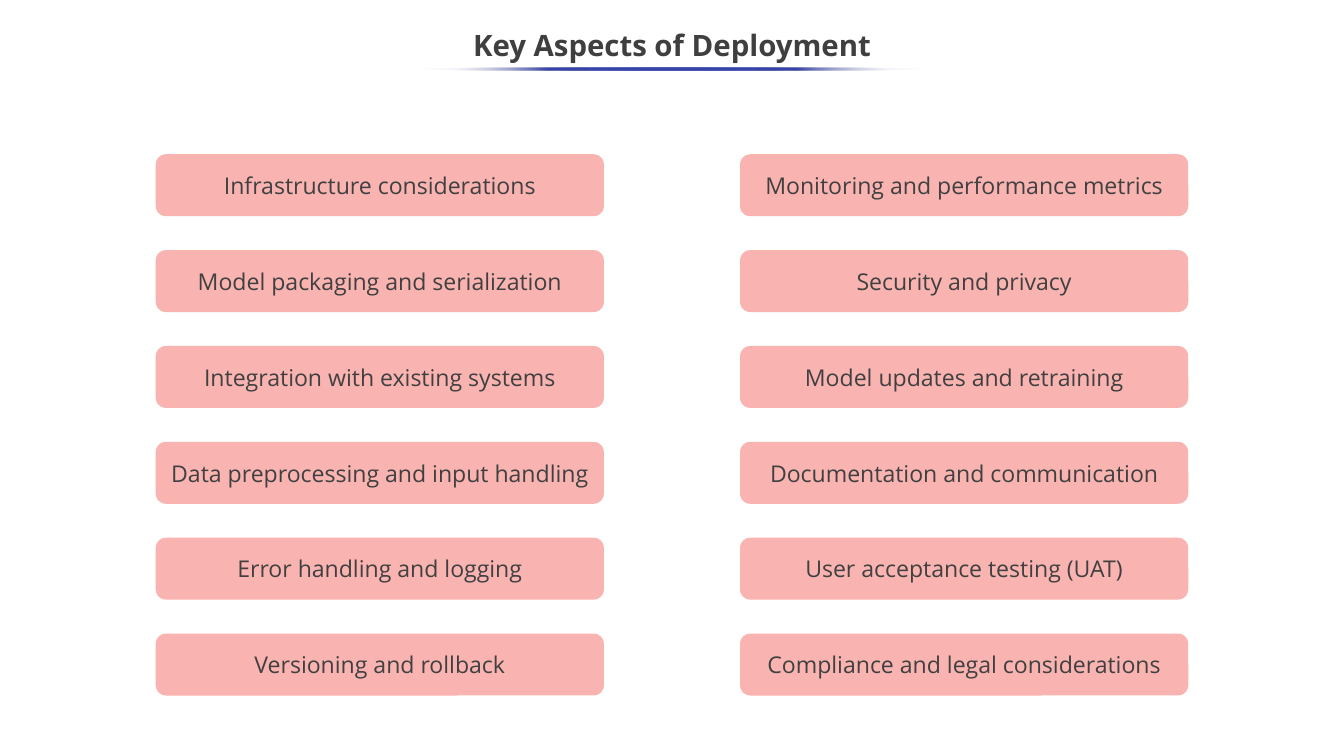
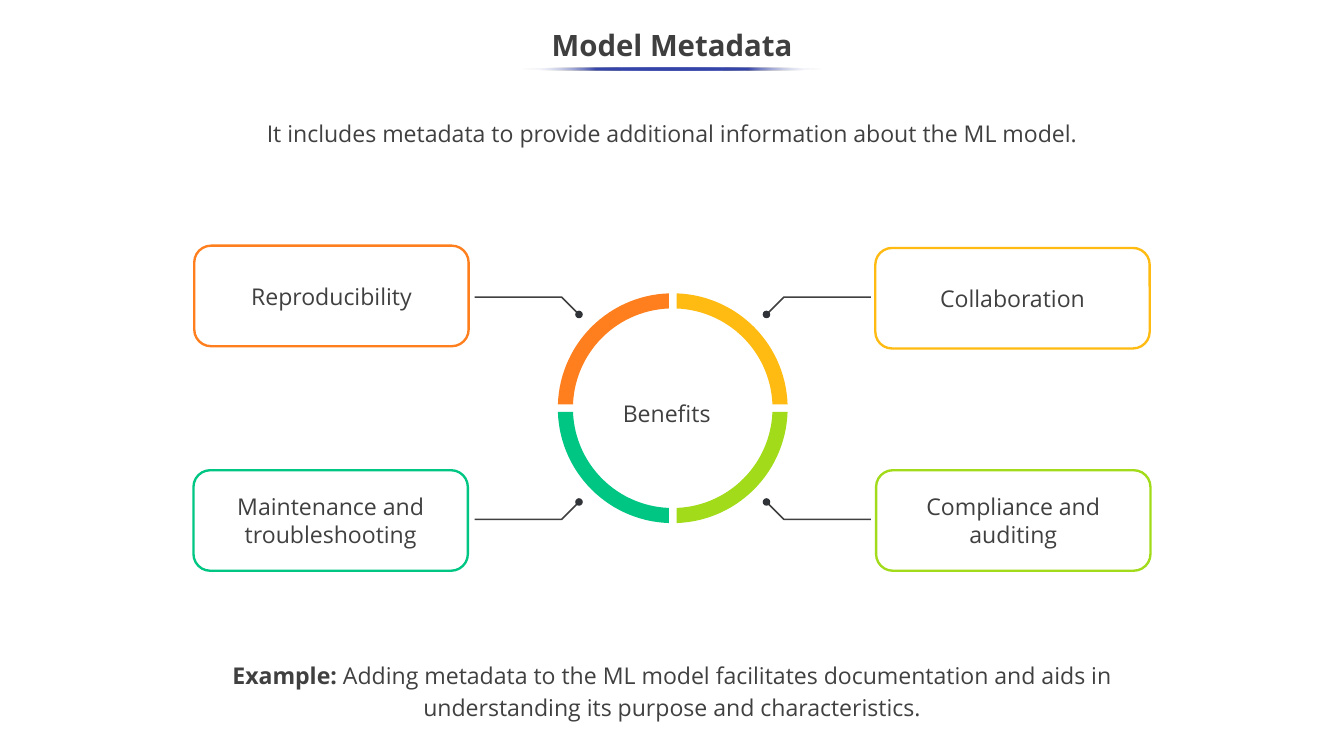
from math import asin, cos, pi, sin

from pptx import Presentation
from pptx.dml.color import RGBColor
from pptx.enum.shapes import MSO_SHAPE as SHAPE
from pptx.enum.text import MSO_ANCHOR as ANCHOR, PP_ALIGN as ALIGN
from pptx.oxml import parse_xml
from pptx.oxml.ns import nsdecls
from pptx.util import Inches, Pt

WIDTH, HEIGHT = 17.78, 10
FONT = "Open Sans"
TITLE_COLOR, TEXT, PINK, RULE = "3F3F3F", "404040", "F9B4B1", "3645A9"
ORANGE, YELLOW, TEAL, LIME, DOT = "FF7E1D", "FFBB12", "00C684", "A2DB19", "303338"

ASPECTS = [
    ["Infrastructure considerations", "Model packaging and serialization",
     "Integration with existing systems", "Data preprocessing and input handling",
     "Error handling and logging", "Versioning and rollback"],
    ["Monitoring and performance metrics", "Security and privacy",
     "Model updates and retraining", "Documentation and communication",
     "User acceptance testing (UAT)", "Compliance and legal considerations"],
]
BENEFITS = [
    ("Reproducibility", ORANGE, 2.57, 3.25, -1, -1),
    ("Collaboration", YELLOW, 11.58, 3.28, 1, -1),
    ("Maintenance and troubleshooting", TEAL, 2.56, 6.22, -1, 1),
    ("Compliance and auditing", LIME, 11.59, 6.22, 1, 1),
]
RING_X, RING_Y = 8.9, 5.4
RING_OUTER, RING_INNER, RING_HALF_GAP = 1.52, 1.32, 0.05
ARC_STEPS = 30


def rgb(color):
    return RGBColor.from_string(color)


def style_run(r, size=22, color=TEXT, bold=False):
    r.font.name = FONT
    r.font.size = Pt(size)
    r.font.bold = bold
    r.font.color.rgb = rgb(color)


def paint(sp, fill=None, line=None, width=1):
    sp.shadow.inherit = False
    if fill:
        sp.fill.solid()
        sp.fill.fore_color.rgb = rgb(fill)
    else:
        sp.fill.background()
    if line:
        sp.line.color.rgb = rgb(line)
        sp.line.width = Pt(width)
    else:
        sp.line.fill.background()


def add_shape(s, kind, x, y, w, h, **look):
    sp = s.shapes.add_shape(kind, Inches(x), Inches(y), Inches(w), Inches(h))
    paint(sp, **look)
    return sp


def add_card(s, text, x, y, w, h, **look):
    sp = add_shape(s, SHAPE.ROUNDED_RECTANGLE, x, y, w, h, **look)
    tf = sp.text_frame
    tf.word_wrap = True
    tf.vertical_anchor = ANCHOR.MIDDLE
    tf.text = text
    tf.paragraphs[0].alignment = ALIGN.CENTER
    style_run(tf.paragraphs[0].runs[0])


def add_text(s, parts, x, y, w, h, align=ALIGN.CENTER):
    tf = s.shapes.add_textbox(Inches(x), Inches(y), Inches(w), Inches(h)).text_frame
    tf.word_wrap = True
    tf.margin_left = tf.margin_right = Inches(0.08)
    tf.margin_top = tf.margin_bottom = Inches(0.04)
    p = tf.paragraphs[0]
    p.alignment = align
    p.line_spacing = 1.15
    for text, bold in parts:
        r = p.add_run()
        r.text = text
        style_run(r, bold=bold)


def add_underline(s, w):
    sp = add_shape(s, SHAPE.OVAL, (WIDTH - w) / 2, 0.89, w, 0.04)
    stops = "".join(
        f'<a:gs pos="{pos * 1000}"><a:srgbClr val="{color}"><a:alpha val="{alpha}"/>'
        "</a:srgbClr></a:gs>"
        for pos, color, alpha in [(0, "FFFFFF", 0), (25, RULE, 100000),
                                  (75, RULE, 100000), (100, "FFFFFF", 0)])
    gradient = parse_xml(f'<a:gradFill {nsdecls("a")} rotWithShape="1"><a:gsLst>{stops}'
                         '</a:gsLst><a:lin ang="10800000" scaled="0"/></a:gradFill>')
    spPr = sp._element.spPr
    spPr.replace(spPr.find("{*}noFill"), gradient)


def add_titled_slide(prs, title, underline_width):
    s = prs.slides.add_slide(prs.slide_layouts[5])
    sp = s.shapes.title
    sp.left, sp.top, sp.width, sp.height = (
        Inches(0), Inches(0.25), Inches(WIDTH), Inches(0.75))
    tf = sp.text_frame
    tf.text = title
    tf.vertical_anchor = ANCHOR.MIDDLE
    p = tf.paragraphs[0]
    p.alignment = ALIGN.CENTER
    p.line_spacing = 0.9
    style_run(p.runs[0], 28, TITLE_COLOR, True)
    add_underline(s, underline_width)
    return s


def add_outline(s, points, closed, **look):
    start, *rest = [(Inches(x), Inches(y)) for x, y in points]
    builder = s.shapes.build_freeform(*start)
    builder.add_line_segments(rest, close=closed)
    paint(builder.convert_to_shape(), **look)


def quarter_arc(radius, dx, dy):
    trim = asin(RING_HALF_GAP / radius)
    angles = [trim + (pi / 2 - 2 * trim) * i / ARC_STEPS for i in range(ARC_STEPS + 1)]
    return [(RING_X + dx * radius * cos(a), RING_Y + dy * radius * sin(a)) for a in angles]


def add_ring_quarter(s, color, dx, dy):
    points = quarter_arc(RING_OUTER, dx, dy) + quarter_arc(RING_INNER, dx, dy)[::-1]
    add_outline(s, points, True, fill=color)


def add_leader(s, dx, dy):
    offsets = [(2.62, 1.47), (1.47, 1.47), (1.24, 1.24)]
    points = [(RING_X + dx * x, RING_Y + dy * y) for x, y in offsets]
    add_outline(s, points, False, line=TEXT, width=1.5)
    x, y = points[-1]
    add_shape(s, SHAPE.OVAL, x - 0.05, y - 0.05, 0.1, 0.1, fill=DOT)


def build_aspects(prs):
    s = add_titled_slide(prs, "Key Aspects of Deployment", 6.58)
    for col, labels in enumerate(ASPECTS):
        for row, label in enumerate(labels):
            add_card(s, label, 2.06 + 7.73 * col, 2.04 + 1.268 * row, 5.93, 0.82, fill=PINK)


def build_metadata(prs):
    s = add_titled_slide(prs, "Model Metadata", 3.98)
    intro = "It includes metadata to provide additional information about the ML model."
    add_text(s, [(intro, False)], 3.22, 1.49, 11.34, 0.5)
    for label, color, x, y, dx, dy in BENEFITS:
        add_ring_quarter(s, color, dx, dy)
        add_leader(s, dx, dy)
        add_card(s, label, x, y, 3.63, 1.33, line=color, width=2.25)
    add_text(s, [("Benefits", False)], 8.16, 5.19, 1.47, 0.5, ALIGN.LEFT)
    example = ("Adding metadata to the ML model facilitates documentation and aids in "
               "understanding its purpose and characteristics.")
    add_text(s, [("Example: ", True), (example, False)], 2.42, 8.66, 12.94, 0.93)


def main():
    prs = Presentation()
    prs.slide_width, prs.slide_height = Inches(WIDTH), Inches(HEIGHT)
    build_aspects(prs)
    build_metadata(prs)
    prs.save("out.pptx")


if __name__ == "__main__":
    main()
